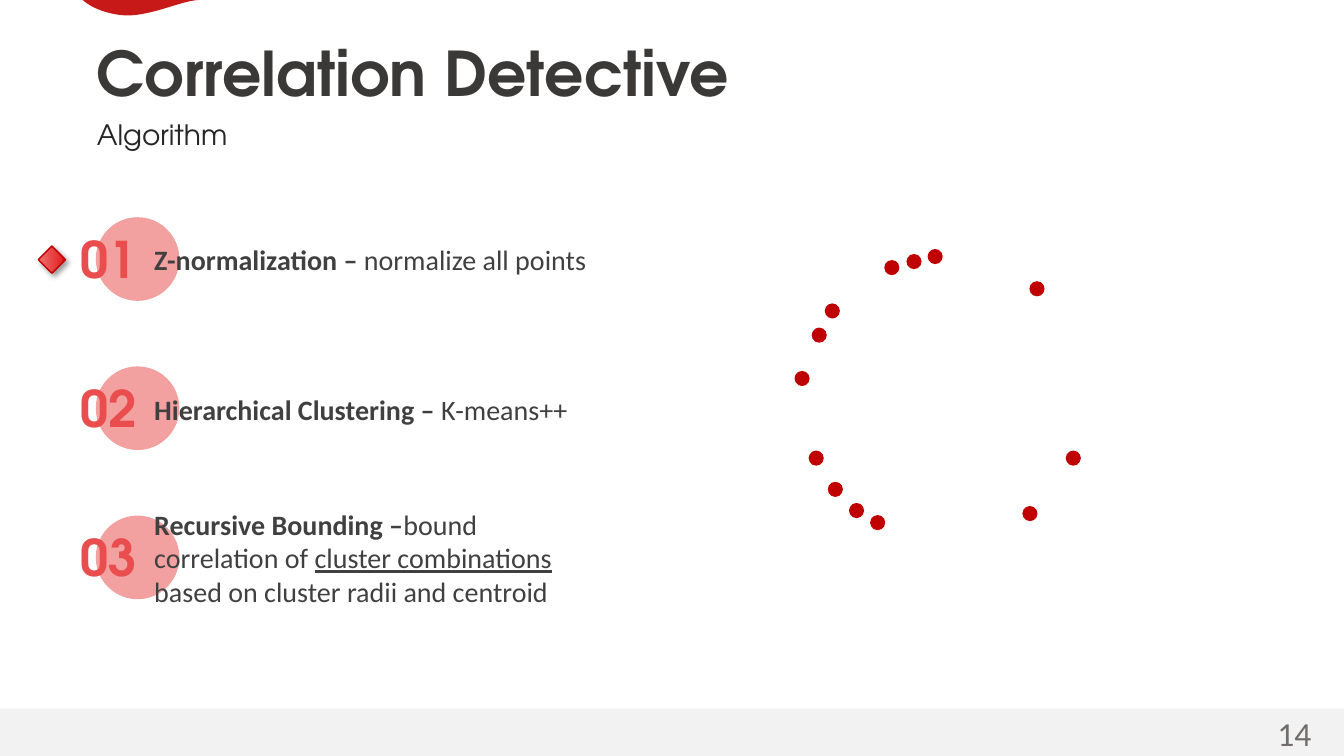
from lxml.etree import SubElement
from pptx import Presentation
from pptx.dml.color import RGBColor
from pptx.enum.shapes import MSO_SHAPE
from pptx.oxml import parse_xml
from pptx.oxml.ns import nsdecls, qn
from pptx.util import Inches, Pt

COLORS = {
    "footer": "F2F2F2", "wave": "C81919", "point": "C00000",
    "title": "3B3838", "subtitle": "262626", "number": "E94D4D",
    "body": "404040", "page": "726C6C", "shadow": "000000",
}
HEADING_FONT, BODY_FONT = "TeX Gyre Adventor", "Calibri"

TITLE, SUBTITLE, PAGE = "Correlation Detective", "Algorithm", "14"

# Each step is a list of paragraphs, each paragraph a list of (text, style).
STEPS = [
    [[("Z-normalization – ", "bold"), ("normalize all points", "")]],
    [[("Hierarchical Clustering – ", "bold"), ("K-means++", "")]],
    [[("Recursive Bounding –", "bold"), ("bound", "")],
     [("correlation of ", ""), ("cluster combinations", "underline"),
      ("\n", ""), ("based on cluster radii and centroid", "")]],
]
STEP_WIDTH = 4.6
STEP_CENTER, STEP_PITCH, LINE_HEIGHT = 2.57, 1.48, 0.34
CIRCLE_SIZE, NUMBER_HEIGHT = 0.83, 0.71

POINT_SIZE = 0.15
POINTS = [
    (8.99, 2.52), (8.77, 2.58), (9.2, 2.47), (8.05, 3.25), (7.88, 3.68),
    (8.18, 3.01), (10.57, 4.47), (10.21, 2.79), (8.21, 4.78), (8.02, 4.47),
    (8.63, 5.11), (8.42, 4.99), (10.14, 5.02),
]
WAVE_CURVES = [
    [(0.82, 0), (0.82, 0), (0.94, 0.12), (1.2, 0.15)],
    [(1.2, 0.15), (1.46, 0.18), (1.78, 0.01), (1.97, 0)],
]
DIAMOND_STOPS = [(0, "ED7373"), (83, "E42828"), (100, "C00000")]


def paint(shape, color):
    shape.shadow.inherit = False
    shape.fill.solid()
    shape.fill.fore_color.rgb = RGBColor.from_string(COLORS[color])
    shape.line.fill.background()


def add_filled(slide, kind, left, top, width, height, color):
    shape = slide.shapes.add_shape(
        kind, Inches(left), Inches(top), Inches(width), Inches(height))
    paint(shape, color)
    return shape


def add_text(slide, box, paragraphs, font, size, color, inset=False, wrap=False):
    """Add a text box; paragraphs are lists of (text, style) segments."""
    frame = slide.shapes.add_textbox(*map(Inches, box)).text_frame
    frame.word_wrap = wrap
    if not inset:
        frame.margin_left = frame.margin_right = 0
        frame.margin_top = frame.margin_bottom = 0
    for index, segments in enumerate(paragraphs):
        paragraph = frame.add_paragraph() if index else frame.paragraphs[0]
        for text, style in segments:
            if text == "\n":
                paragraph.add_line_break()
                continue
            run = paragraph.add_run()
            run.text = text
            run.font.name = font
            run.font.size = Pt(size)
            run.font.color.rgb = RGBColor.from_string(COLORS[color])
            run.font.bold = style == "bold"
            run.font.underline = style == "underline"


def curve_point(curve, t):
    weights = ((1 - t) ** 3, 3 * t * (1 - t) ** 2, 3 * t * t * (1 - t), t ** 3)
    return tuple(Inches(sum(w * p[axis] for w, p in zip(weights, curve)))
                 for axis in (0, 1))


def add_wave(slide):
    outline = [curve_point(curve, i / 16) for curve in WAVE_CURVES for i in range(17)]
    builder = slide.shapes.build_freeform(*outline[0], scale=1.0)
    builder.add_line_segments(outline[1:], close=True)
    paint(builder.convert_to_shape(), "wave")


def add_step(slide, index, paragraphs):
    center = STEP_CENTER + index * STEP_PITCH
    circle = add_filled(slide, MSO_SHAPE.OVAL, 0.95, center - CIRCLE_SIZE / 2,
                        CIRCLE_SIZE, CIRCLE_SIZE, "number")
    fill_color = circle.fill._xPr.find(qn("a:solidFill"))[0]
    SubElement(fill_color, qn("a:alpha"), val="53000")
    add_text(slide, (0.7, center - NUMBER_HEIGHT / 2, 0.77, NUMBER_HEIGHT),
             [[(f"{index + 1:02}", "bold")]], HEADING_FONT, 36, "number", inset=True)
    breaks = sum(text == "\n" for segments in paragraphs for text, _ in segments)
    height = (len(paragraphs) + breaks) * LINE_HEIGHT
    add_text(slide, (1.53, center + 0.01 - height / 2, STEP_WIDTH, height),
             paragraphs, BODY_FONT, 20, "body", wrap=True)


def add_marker(slide):
    """Add the shaded diamond that marks the current step."""
    diamond = add_filled(slide, MSO_SHAPE.DIAMOND, 0.38, 2.44, 0.27, 0.27, "point")
    diamond.line.color.rgb = RGBColor.from_string(COLORS["point"])
    diamond.line.width = Pt(1)
    properties = diamond._element.spPr
    stops = "".join(f'<a:gs pos="{position * 1000}"><a:srgbClr val="{color}"/></a:gs>'
                    for position, color in DIAMOND_STOPS)
    properties.replace(properties.find(qn("a:solidFill")), parse_xml(
        f'<a:gradFill {nsdecls("a")} rotWithShape="1"><a:gsLst>{stops}</a:gsLst>'
        '<a:lin ang="0" scaled="0"/></a:gradFill>'))
    shadow = SubElement(properties.find(qn("a:effectLst")), qn("a:outerShdw"),
                        blurRad=str(Pt(4)), dist=str(Pt(3)), dir="2700000",
                        algn="tl", rotWithShape="0")
    color = SubElement(shadow, qn("a:srgbClr"), val=COLORS["shadow"])
    SubElement(color, qn("a:alpha"), val="40000")


def main():
    presentation = Presentation()
    presentation.slide_width, presentation.slide_height = Inches(13.33), Inches(7.5)
    slide = presentation.slides.add_slide(presentation.slide_layouts[6])

    add_filled(slide, MSO_SHAPE.RECTANGLE, 0, 7.03, 13.33, 0.47, "footer")
    add_wave(slide)
    for left, top in POINTS:
        add_filled(slide, MSO_SHAPE.OVAL, left, top, POINT_SIZE, POINT_SIZE, "point")
    add_text(slide, (0.96, 0.35, 6.36, 0.74), [[(TITLE, "bold")]],
             HEADING_FONT, 44, "title")
    add_text(slide, (0.96, 1.17, 1.31, 0.34), [[(SUBTITLE, "")]],
             HEADING_FONT, 20, "subtitle")
    for index, paragraphs in enumerate(STEPS):
        add_step(slide, index, paragraphs)
    add_marker(slide)
    add_text(slide, (12.57, 7.02, 0.83, 0.4), [[(PAGE, "")]],
             BODY_FONT, 24, "page", inset=True, wrap=True)
    presentation.save("out.pptx")


if __name__ == "__main__":
    main()
